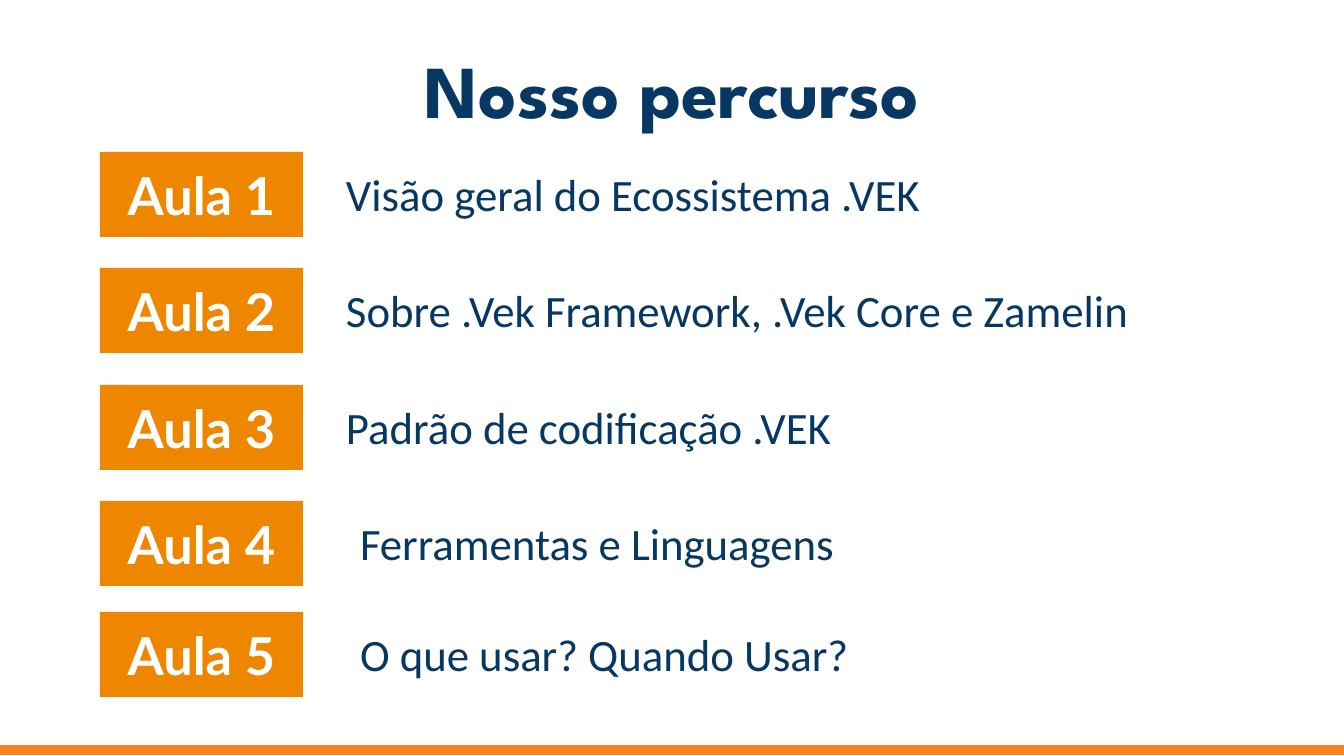
import pptx
import pptx.util
from pptx.dml.color import RGBColor
from pptx.enum.shapes import MSO_SHAPE
from pptx.enum.text import MSO_ANCHOR, PP_ALIGN

PX = 914400 / 134.4
NAVY = RGBColor(0x07, 0x37, 0x63)
ORANGE = RGBColor(0xEF, 0x86, 0x00)
AMBER = RGBColor(0xF7, 0x83, 0x21)
WHITE = RGBColor(0xFF, 0xFF, 0xFF)

# top, topic left, topic width, topic
ROWS = [
    (152, 333, 753, "Visão geral do Ecossistema .VEK"),
    (268, 333, 847, "Sobre .Vek Framework, .Vek Core e Zamelin"),
    (385, 333, 789, "Padrão de codificação .VEK"),
    (501, 347, 789, "Ferramentas e Linguagens"),
    (612, 347, 789, "O que usar? Quando Usar?"),
]


def emu(*px):
    return [pptx.util.Emu(round(n * PX)) for n in px]


def write(shape, text, font, size, color, bold=False,
          align=PP_ALIGN.LEFT, anchor=MSO_ANCHOR.TOP, pad=7):
    frame = shape.text_frame
    frame.word_wrap = True
    frame.vertical_anchor = anchor
    frame.margin_left, frame.margin_right = emu(13, 13)
    frame.margin_top, frame.margin_bottom = emu(pad, pad)
    para = frame.paragraphs[0]
    para.alignment = align
    run = para.add_run()
    run.text = text
    run.font.name = font
    run.font.size = pptx.util.Pt(size)
    run.font.bold = bold
    run.font.color.rgb = color


def block(slide, box, color):
    """Add a plain filled rectangle without a line."""
    shape = slide.shapes.add_shape(MSO_SHAPE.RECTANGLE, *emu(*box))
    shape.shadow.inherit = False
    shape.fill.solid()
    shape.fill.fore_color.rgb = color
    shape.line.fill.background()
    return shape


def title(slide, box):
    write(slide.shapes.add_textbox(*emu(*box)), "Nosso percurso",
          "League Spartan", 40, NAVY, bold=True,
          align=PP_ALIGN.CENTER, anchor=MSO_ANCHOR.MIDDLE, pad=13)


def footer(slide, box):
    bar = block(slide, box, AMBER)
    bar.line.color.rgb = AMBER
    bar.line.width = pptx.util.Pt(0.75)


def lesson(slide, box, label, topic, indent):
    """Place a label block and, indent px from the box's left, its topic."""
    left, top, width, height = box
    write(block(slide, (left, top, 203, height), ORANGE), label,
          "Lato", 28, WHITE, bold=True,
          align=PP_ALIGN.CENTER, anchor=MSO_ANCHOR.MIDDLE, pad=13)
    area = emu(left + indent, top + 8, width - indent, height - 17)
    write(slide.shapes.add_textbox(*area), topic, "Calibri", 24, NAVY)


def main():
    deck = pptx.Presentation()
    deck.slide_width, deck.slide_height = emu(1344, 756)
    slide = deck.slides.add_slide(deck.slide_layouts[6])
    slide.background.fill.solid()
    slide.background.fill.fore_color.rgb = WHITE
    title(slide, (46, 45, 1252, 88))
    footer(slide, (0, 746, 1344, 8))
    left = 100
    for num, (top, start, width, topic) in enumerate(ROWS, 1):
        indent = start - left
        lesson(slide, (left, top, indent + width, 85),
               f"Aula {num}", topic, indent)
    deck.save("out.pptx")


if __name__ == "__main__":
    main()
